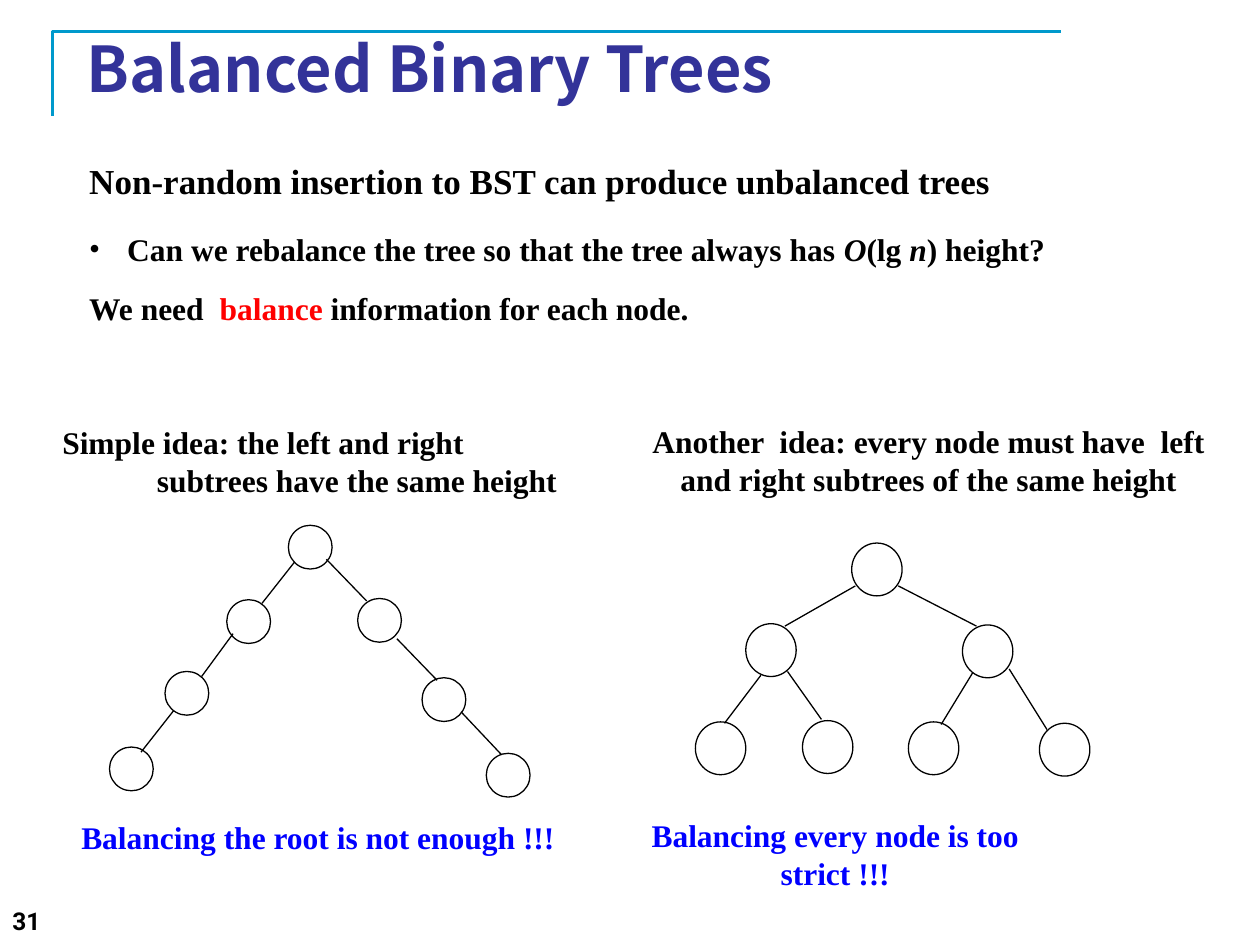
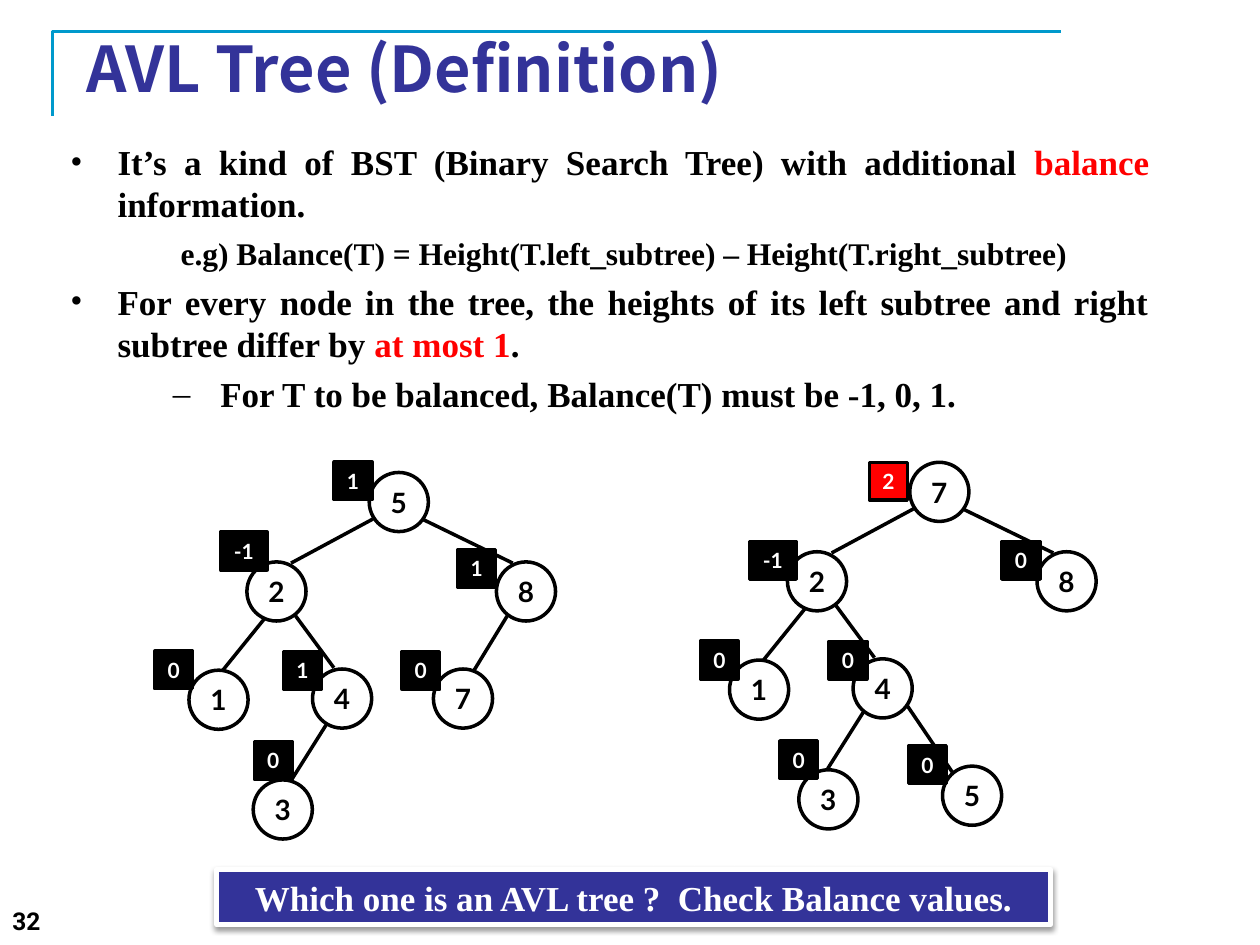
from lxml import etree
from pptx import Presentation
from pptx.dml.color import RGBColor
from pptx.enum.shapes import MSO_CONNECTOR, MSO_SHAPE
from pptx.enum.text import MSO_ANCHOR, PP_ALIGN
from pptx.oxml.ns import qn
from pptx.util import Pt

LINE = MSO_CONNECTOR.STRAIGHT
OVAL, RECT = MSO_SHAPE.OVAL, MSO_SHAPE.RECTANGLE
TOP, MID = MSO_ANCHOR.TOP, MSO_ANCHOR.MIDDLE
LEFT, MIDDLE, JUST = PP_ALIGN.LEFT, PP_ALIGN.CENTER, PP_ALIGN.JUSTIFY
HEX = {"ink": "000000", "paper": "FFFFFF", "navy": "333399",
       "teal": "0099CC", "red": "FF0000", "blue": "0000FF"}
SERIF, SANS, HEAD, FOOT = "Times New Roman", "Lato", "Noto Sans CJK KR", "Roboto"

# Each spot: x, y, and the edge that leads to it from its parent.
ARMS = {
    "root": (102.2, 0, None),
    "l": (67, 42.5, (105.8, 20.9, 87.1, 44.6)),
    "ll": (31.7, 83.5, (70.6, 61.9, 52.6, 86.4)),
    "lll": (0, 126.7, (36.7, 105.8, 18, 129.6)),
    "r": (141.8, 41.8, (123.9, 19.4, 146.9, 43.2)),
    "rr": (178.6, 87.1, (164.2, 64.8, 187.2, 88.6)),
    "rrr": (215.3, 130.3, (200.9, 106.6, 223.9, 131)),
}
FULL = {
    "root": (89.3, 0, None),
    "l": (28.8, 46.1, (91.4, 24.5, 51.1, 47.5)),
    "r": (152.6, 46.8, (115.9, 24.5, 160.6, 47.5)),
    "ll": (0, 102.2, (37.4, 75.6, 16.6, 103)),
    "lr": (61.2, 101.5, (52.6, 73.4, 72, 100.8)),
    "rl": (121.7, 102.2, (158.4, 74.2, 140.4, 103.7)),
    "rr": (196.6, 103, (179.3, 72, 200.9, 106.6)),
}
BASE = {
    "root": (123, 6, None),
    "l": (53.1, 57.1, (125.1, 32.6, 78.3, 57.8)),
    "r": (195.7, 57.1, (153.2, 32.6, 205, 57.8)),
    "ll": (20, 119, (63.2, 89.5, 38.7, 119.8)),
    "lr": (90.6, 118.3, (80.5, 87.4, 102.8, 117.6)),
}
GOOD = BASE | {
    "rl": (159.7, 118.3, (202.2, 87.4, 182, 120.5)),
    "lrl": (56.7, 181.7, (99.9, 147.8, 79, 181)),
}
BAD = BASE | {
    "lrl": (59.6, 181.7, (97, 147.9, 76.1, 181)),
    "lrr": (141.7, 179.6, (121.5, 145, 147.4, 183.2)),
}
# Each mark: key, balance, and the offset of its tag from the node.
GOODMARKS = {
    "root": ("5", "1", -20, -6), "l": ("2", "-1", -15, -17),
    "r": ("8", "1", -22, -7), "ll": ("1", "0", -19.5, -11),
    "lr": ("4", "1", -16.5, -10), "rl": ("7", "0", -18, -10),
    "lrl": ("3", "0", 0.7, -22),
}
BADMARKS = {
    "root": ("7", "2", -23, 0), "l": ("2", "-1", -21.6, -5.8),
    "r": ("8", "0", -20, -5.8), "ll": ("1", "0", -16.6, -10.8),
    "lr": ("4", "0", -13.7, -10), "lrl": ("3", "0", -10.8, -16.6),
    "lrr": ("5", "0", -19.4, -11.5),
}


def tint(hue):
    """Return the colour of that name."""
    return RGBColor.from_string(HEX[hue])


def style(run, font, size, hue="ink", slant=False):
    """Give a run its bold face."""
    face = run.font
    face.name, face.size, face.bold, face.italic = font, Pt(size), True, slant
    face.color.rgb = tint(hue)
    props = run._r.get_or_add_rPr()
    for tag in ("a:ea", "a:cs"):
        etree.SubElement(props, qn(tag), typeface=font)


def para(item, parts, size, align=LEFT, font=SERIF, hue="ink",
         before=0, space=None, left=0, mark=None, hang=0):
    """Fill one paragraph; a part is text or (text, hue, slant)."""
    item.alignment, item.space_before = align, Pt(before)
    if space:
        item.line_spacing = space
    for part in parts:
        words, shade, slant = (part, hue, False) if isinstance(part, str) else part
        run = item.add_run()
        run.text = words
        style(run, font, size, shade, slant)
    props = item._p.get_or_add_pPr()
    props.set("marL", str(Pt(left)))
    props.set("indent", str(-Pt(hang)))
    if mark:
        etree.SubElement(props, qn("a:buFont"), typeface=SERIF)
        etree.SubElement(props, qn("a:buChar"), char=mark)


def block(slide, box, items, anchor=TOP):
    """Place a text box made of (parts, size, options) items."""
    frame = slide.shapes.add_textbox(*map(Pt, box)).text_frame
    frame.word_wrap, frame.vertical_anchor = True, anchor
    for at, (parts, size, more) in enumerate(items):
        item = frame.add_paragraph() if at else frame.paragraphs[0]
        para(item, parts, size, **more)


def shape(slide, kind, box, fill, edge, width):
    """Draw a plain shape; no fill name leaves it hollow."""
    form = slide.shapes.add_shape(kind, *map(Pt, box))
    form.shadow.inherit = False
    if fill:
        form.fill.solid()
        form.fill.fore_color.rgb = tint(fill)
    else:
        form.fill.background()
    form.line.color.rgb, form.line.width = tint(edge), Pt(width)
    return form


def label(form, words, font, size, hue):
    """Centre a short text in a shape."""
    frame = form.text_frame
    frame.text, frame.vertical_anchor = words, MID
    frame.margin_left = frame.margin_right = 0
    frame.margin_top = frame.margin_bottom = 0
    item = frame.paragraphs[0]
    item.alignment = MIDDLE
    style(item.runs[0], font, size, hue)


def tree(slide, spot, spots, size, width, fill=None):
    """Draw edges, then nodes, from a corner; return the nodes."""
    left, top = spot
    for _, _, edge in spots.values():
        if edge:
            ax, ay, bx, by = edge
            link = slide.shapes.add_connector(
                LINE, Pt(left + ax), Pt(top + ay), Pt(left + bx), Pt(top + by))
            link.line.color.rgb, link.line.width = tint("ink"), Pt(width)
            etree.SubElement(link._element.spPr, qn("a:effectLst"))
    return {key: shape(slide, OVAL, (left + x, top + y, *size), fill, "ink", width)
            for key, (x, y, _) in spots.items()}


def scored(slide, spot, spots, marks):
    """Draw a tree with keys and balance tags."""
    nodes = tree(slide, spot, spots, (33.8, 33.8), 2, "paper")
    for name, (key, score, dx, dy) in marks.items():
        label(nodes[name], key, SANS, 16, "ink")
        x, y, _ = spots[name]
        wide = 26.6 if len(score) > 1 else 21.6
        fill = "red" if abs(int(score)) > 1 else "ink"
        tag = shape(slide, RECT, (spot[0] + x + dx, spot[1] + y + dy, wide, 21.6),
                    fill, "ink", 2)
        label(tag, score, SANS, 12, "paper")


def banner(slide, box, words):
    """Draw the closing question on a shaded bar."""
    bar = shape(slide, RECT, box, "navy", "paper", 3)
    label(bar, words, SERIF, 20, "paper")
    glow = etree.SubElement(bar._element.spPr.find(qn("a:effectLst")),
                            qn("a:outerShdw"), blurRad=str(Pt(3.1)),
                            dist=str(Pt(1.6)), dir="5400000", rotWithShape="0")
    shade = etree.SubElement(glow, qn("a:srgbClr"), val=HEX["ink"])
    etree.SubElement(shade, qn("a:alpha"), val="38000")


def page(deck, title, number):
    """Add a slide with corner rule, title and number."""
    slide = deck.slides.add_slide(deck.slide_layouts[6])
    pen = slide.shapes.build_freeform(Pt(30.2), Pt(66.2))
    pen.add_line_segments([(Pt(30.2), Pt(18)), (Pt(606.2), Pt(18))], close=False)
    rule = pen.convert_to_shape()
    rule.shadow.inherit = False
    rule.fill.background()
    rule.line.color.rgb, rule.line.width = tint("teal"), Pt(1.5)
    block(slide, (42.5, 21.6, 612, 33.8),
          [([title], 36, {"font": HEAD, "hue": "navy", "align": JUST})], MID)
    block(slide, (0, 514, 224.6, 26), [([number], 14, {"font": FOOT})])
    return slide


def ideas(deck):
    """Build the slide on two ways to balance."""
    slide = page(deck, "Balanced Binary Trees", "31")
    lead = {"align": JUST, "before": 10, "space": 1.1}
    block(slide, (43.9, 82.8, 627.8, 108.7), [
        (["Non-random insertion to BST can produce unbalanced trees"], 20,
         lead | {"space": 1.2}),
        (["Can we rebalance the tree so that the tree always has ",
          ("O", "ink", True), "(lg ", ("n", "ink", True), ") height?"], 18,
         lead | {"before": 14, "left": 21.7, "hang": 21.7, "mark": "•"}),
        (["We need  ", ("balance ", "red", False),
          "information for each node."], 18, lead)])
    block(slide, (28.5, 238.3, 300, 51.1), [
        (["Simple idea: the left and right"], 18, {}),
        (["subtrees have the same height"], 18, {"left": 54})])
    block(slide, (357.1, 237.6, 347, 51.1), [
        (["Another  idea: every node must have  left and right subtrees "
          "of the same height"], 18, {"align": MIDDLE})])
    tree(slide, (62.6, 300.2), ARMS, (25, 25), 0.75)
    tree(slide, (397.4, 310.3), FULL, (28.8, 30.2), 0.75)
    note = {"align": MIDDLE, "hue": "blue"}
    block(slide, (35.3, 463.7, 293, 28.8),
          [(["Balancing the root is not enough !!!"], 18, note)])
    block(slide, (357.8, 463, 239, 50),
          [(["Balancing every node is too strict !!!"], 18, note)])


def rules(deck):
    """Build the slide that defines the tree."""
    slide = page(deck, "AVL Tree (Definition)", "32")
    body = {"align": JUST, "before": 5}
    dot = body | {"left": 27, "hang": 27, "mark": "•"}
    block(slide, (33.1, 77, 630.7, 167.8), [
        (["It’s a kind of BST (Binary Search Tree) with additional ",
          ("balance", "red", False), " information."], 20, dot),
        (["e.g) Balance(T) = Height(T.left_subtree) – "
          "Height(T.right_subtree)"], 18, body | {"left": 63}),
        (["For every node in the tree, the heights of its left subtree and "
          "right subtree differ by ", ("at most 1", "red", False), "."], 20, dot),
        (["For T to be balanced, Balance(T) must be -1, 0, 1."], 20,
         dot | {"left": 85.7, "mark": "–"})])
    scored(slide, (88, 264), GOOD, GOODMARKS)
    scored(slide, (396.9, 258.2), BAD, BADMARKS)
    banner(slide, (123.8, 496.8, 476.6, 31.7),
           "Which one is an AVL tree ?  Check Balance values.")


def main():
    """Build both slides and save them."""
    deck = Presentation()
    deck.slide_width, deck.slide_height = Pt(720), Pt(540)
    ideas(deck)
    rules(deck)
    deck.save("out.pptx")


if __name__ == "__main__":
    main()
